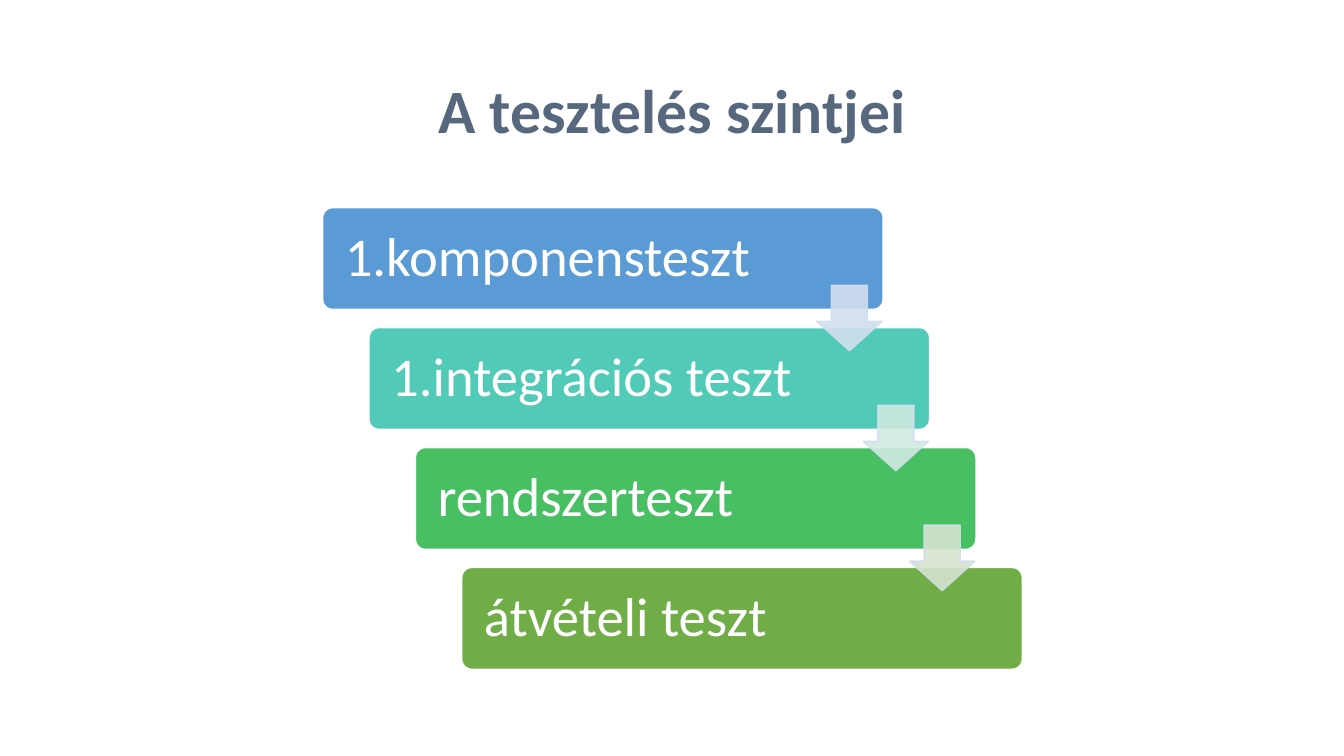
"""Build a slide showing the levels of software testing as a staircase."""
from lxml import etree
from pptx import Presentation
from pptx.dml.color import RGBColor
from pptx.enum import shapes, text
from pptx.oxml import ns
from pptx.util import Inches, Pt

COLORS = {
    "title": "57687E",
    "white": "FFFFFF",
    "arrow_line": "D2DEEF",
}
LEVELS = [
    ("komponensteszt", "5B9BD5", True),
    ("integrációs teszt", "52CAB8", True),
    ("rendszerteszt", "49BF64", False),
    ("átvételi teszt", "70AD47", False),
]
ARROW_FILLS = ["D2DEEF", "D0EAE1", "D5E3CF"]
STEP_X, STEP_Y = 0.46, 1.19


def write_text(frame, words, size, color, numbered=False):
    """Fill a text frame with one vertically centred paragraph."""
    frame.word_wrap = True
    frame.vertical_anchor = text.MSO_ANCHOR.MIDDLE
    paragraph = frame.paragraphs[0]
    paragraph.text = words
    paragraph.alignment = text.PP_ALIGN.LEFT
    paragraph.line_spacing = 0.9
    if numbered:
        properties = paragraph._p.get_or_add_pPr()
        etree.SubElement(properties, ns.qn("a:buFont"), typeface="+mj-lt")
        etree.SubElement(properties, ns.qn("a:buAutoNum"), type="arabicPeriod")
    paragraph.font.name = "Calibri"
    paragraph.font.size = Pt(size)
    paragraph.font.color.rgb = RGBColor.from_string(color)
    return paragraph


def add_title(slide, words):
    """Add the centred bold heading."""
    box = slide.shapes.add_textbox(Inches(0.92), Inches(0.4), Inches(11.5), Inches(1.45))
    paragraph = write_text(box.text_frame, words, 44, COLORS["title"])
    paragraph.alignment = text.PP_ALIGN.CENTER
    paragraph.font.bold = True


def add_block(slide, kind, left, top, width, height, fill, line, adjustments):
    """Add a filled and outlined preset shape."""
    shape = slide.shapes.add_shape(
        kind, Inches(left), Inches(top), Inches(width), Inches(height))
    shape.shadow.inherit = False
    for index, value in enumerate(adjustments):
        shape.adjustments[index] = value
    shape.fill.solid()
    shape.fill.fore_color.rgb = RGBColor.from_string(fill)
    shape.line.color.rgb = RGBColor.from_string(line)
    shape.line.width = Pt(1)
    return shape


def add_level(slide, step, words, fill, numbered):
    """Add one stair of the staircase with its label."""
    shape = add_block(
        slide, shapes.MSO_SHAPE.ROUNDED_RECTANGLE,
        3.2 + step * STEP_X, 2.06 + step * STEP_Y, 5.56, 1.01,
        fill, COLORS["white"], [0.1])
    shape.text_frame.margin_left = Inches(0.19)
    write_text(shape.text_frame, words, 39, COLORS["white"], numbered)


def add_arrow(slide, step, fill):
    """Add a slightly transparent arrow leading down to the next stair."""
    shape = add_block(
        slide, shapes.MSO_SHAPE.DOWN_ARROW,
        8.1 + step * STEP_X, 2.83 + step * STEP_Y, 0.65, 0.65,
        fill, COLORS["arrow_line"], [0.55, 0.45])
    for color in shape._element.spPr.iter(ns.qn("a:srgbClr")):
        etree.SubElement(color, ns.qn("a:alpha"), val="90000")


def main():
    """Build and save the presentation."""
    presentation = Presentation()
    presentation.slide_width = Inches(13.33)
    presentation.slide_height = Inches(7.5)
    slide = presentation.slides.add_slide(presentation.slide_layouts[6])
    add_title(slide, "A tesztelés szintjei")
    for step, (words, fill, numbered) in enumerate(LEVELS):
        add_level(slide, step, words, fill, numbered)
    for step, fill in enumerate(ARROW_FILLS):
        add_arrow(slide, step, fill)
    presentation.save("out.pptx")


if __name__ == "__main__":
    main()
